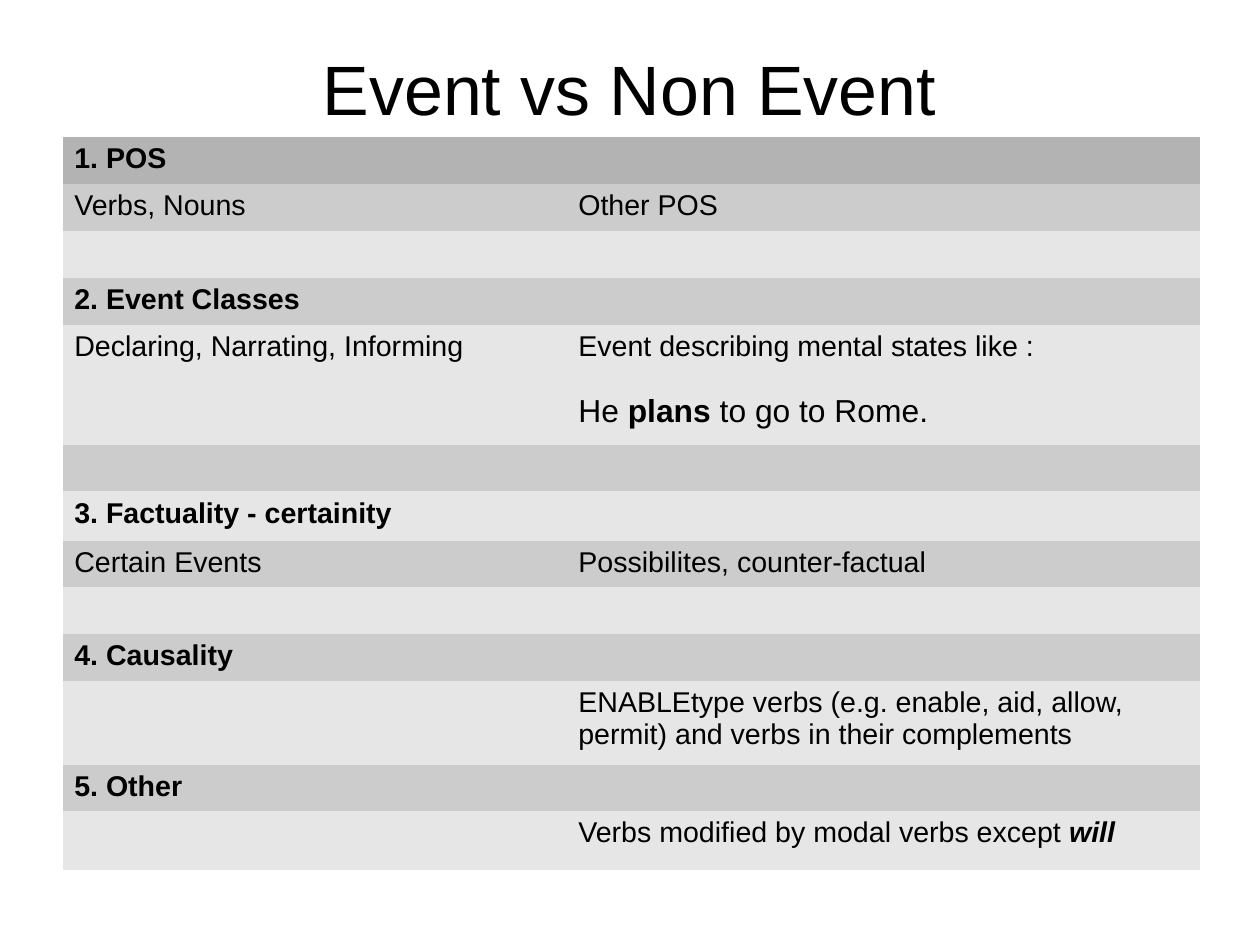
from pptx import Presentation
from pptx import util as u
from pptx.dml.color import RGBColor
from pptx.enum import text
from pptx.oxml import ns

BLACK = RGBColor(0x00, 0x00, 0x00)
HEADER_GREY = RGBColor(0xB3, 0xB3, 0xB3)
DARK_BAND = RGBColor(0xCC, 0xCC, 0xCC)
LIGHT_BAND = RGBColor(0xE6, 0xE6, 0xE6)
PLAIN_TABLE_STYLE = "{2D5ABB26-0587-4C30-8999-92F81FD0307C}"

COLUMN_WIDTHS = [4.41, 5.54]
ROW_HEIGHT = 0.41
CRITERIA = [
    ("1. POS", ""),
    ("Verbs, Nouns", "Other POS"),
    ("", ""),
    ("2. Event Classes", ""),
    ("Declaring, Narrating, Informing", "Event describing mental states like :"),
    ("", ""),
    ("3. Factuality - certainity", ""),
    ("Certain Events", "Possibilites, counter-factual"),
    ("", ""),
    ("4. Causality", ""),
    ("", "ENABLEtype verbs (e.g. enable, aid, allow, permit) "
         "and verbs in their complements"),
    ("5. Other", ""),
    ("", "Verbs modified by modal verbs except "),
]
MENTAL_STATES, FACTUALITY, CAUSALITY, MODALS = 4, 6, 10, 12
TALL_ROWS = {MENTAL_STATES: 1.05, FACTUALITY: 0.43, CAUSALITY: 0.73, MODALS: 0.51}


class SlideBuilder:
    def __init__(self, page, font_name="Arial", body_size=18):
        self.page = page
        self.font_name = font_name
        self.body_size = body_size

    def style(self, font, size=None, bold=False, italic=False):
        font.name = self.font_name
        font.size = u.Pt(size or self.body_size)
        font.bold = bold
        font.italic = italic
        font.color.rgb = BLACK

    def span(self, para, words, **look):
        span = para.add_run()
        span.text = words
        self.style(span.font, **look)

    def title(self, words, left, top, width, height):
        box = self.page.shapes.add_textbox(
            u.Inches(left), u.Inches(top), u.Inches(width), u.Inches(height))
        frame = box.text_frame
        frame.word_wrap = True
        frame.vertical_anchor = text.MSO_ANCHOR.MIDDLE
        frame.margin_left = frame.margin_right = 0
        frame.margin_top = frame.margin_bottom = 0
        frame.text = words
        para = frame.paragraphs[0]
        para.alignment = text.PP_ALIGN.CENTER
        self.style(para.runs[0].font, size=44)

    def table(self, rows, left, top, widths, heights):
        table = self.page.shapes.add_table(
            len(rows), len(widths), u.Inches(left), u.Inches(top),
            u.Inches(sum(widths)), u.Inches(sum(heights))).table
        table.first_row = False
        table.horz_banding = False
        table._tbl.tblPr.find(ns.qn("a:tableStyleId")).text = PLAIN_TABLE_STYLE
        for column, width in zip(table.columns, widths):
            column.width = u.Inches(width)
        for index, (row, height) in enumerate(zip(rows, heights)):
            table.rows[index].height = u.Inches(height)
            band = DARK_BAND if index % 2 else LIGHT_BAND
            for column, words in enumerate(row):
                fill = band if index else HEADER_GREY
                self.cell(table.cell(index, column), words, fill)
        return table

    def cell(self, cell, words, fill):
        cell.fill.solid()
        cell.fill.fore_color.rgb = fill
        cell.text_frame.text = words
        for span in cell.text_frame.paragraphs[0].runs:
            self.style(span.font, bold=words[0].isdigit())


def main():
    deck = Presentation()
    deck.slide_width = u.Cm(28)
    deck.slide_height = u.Cm(21)
    builder = SlideBuilder(deck.slides.add_slide(deck.slide_layouts[6]))
    builder.title("Event vs Non Event", 0.55, 0.33, 9.92, 0.87)

    heights = [TALL_ROWS.get(index, ROW_HEIGHT) for index in range(len(CRITERIA))]
    table = builder.table(CRITERIA, 0.55, 1.2, COLUMN_WIDTHS, heights)

    example = table.cell(MENTAL_STATES, 1).text_frame.add_paragraph()
    example.space_before = u.Pt(20)
    builder.span(example, "He ", size=20)
    builder.span(example, "plans", size=20, bold=True)
    builder.span(example, " to go to Rome.", size=20)

    modal = table.cell(MODALS, 1).text_frame.paragraphs[0]
    builder.span(modal, "will", bold=True, italic=True)

    deck.save("out.pptx")


if __name__ == "__main__":
    main()
